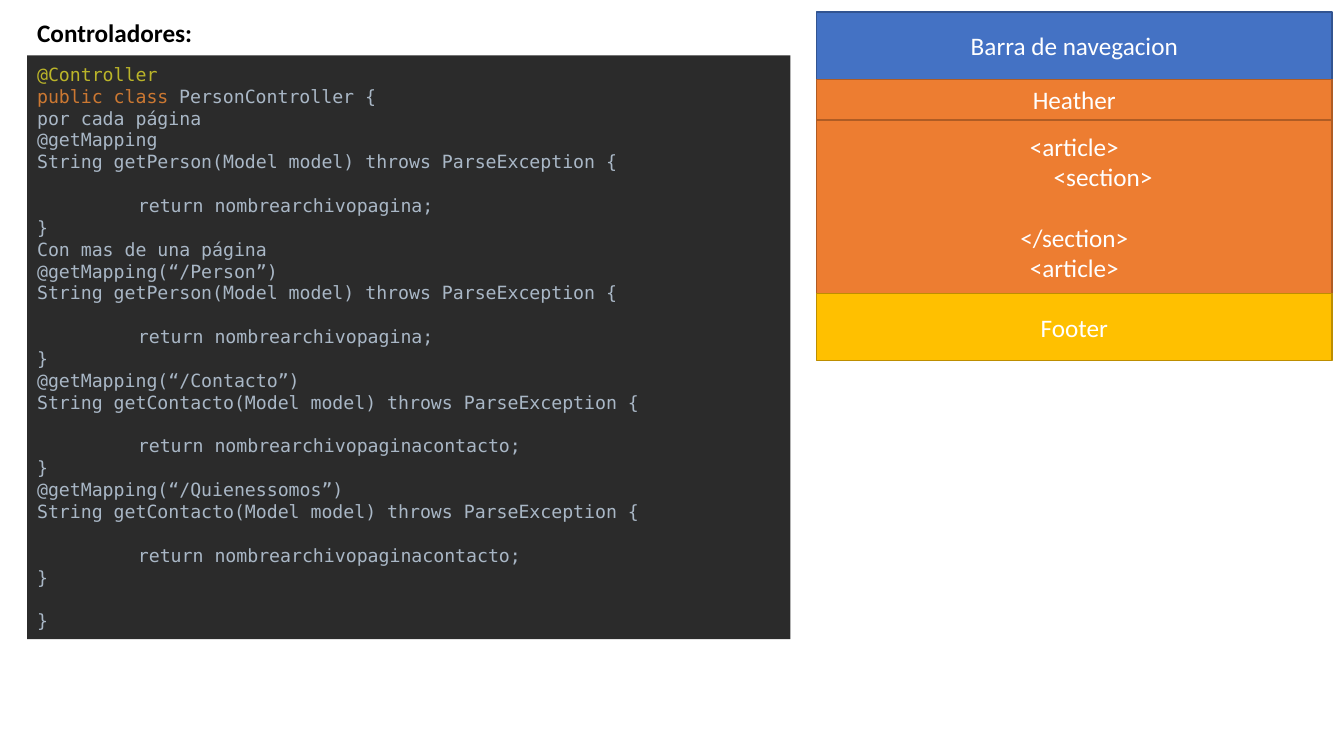
from pptx import Presentation
from pptx.dml.color import RGBColor
from pptx.enum.shapes import MSO_SHAPE
from pptx.enum.text import MSO_ANCHOR, PP_ALIGN
from pptx.util import Pt

PX = 9144  # 100 px to the inch
CODE_FONT = "DejaVu Sans Mono"
CODE_GREY = "A9B7C6"


def rgb(value):
    return RGBColor.from_string(value)


def add_run(p, text, color, size=18, font="Calibri", bold=False):
    r = p.add_run()
    r.text = text
    r.font.color.rgb = rgb(color)
    for name, value in {"size": Pt(size), "name": font, "bold": bold}.items():
        setattr(r.font, name, value)


prs = Presentation()
prs.slide_width, prs.slide_height = 1333 * PX, 750 * PX
s = prs.slides.add_slide(prs.slide_layouts[6])

# Title
tf = s.shapes.add_textbox(27 * PX, 12 * PX, 175 * PX, 40 * PX).text_frame
tf.word_wrap = False
add_run(tf.paragraphs[0], "Controladores:", "000000", bold=True)

# Page layout: height, fill, line, and (text, indent, space before) per paragraph
bands = [
    (67, "4472C4", "325491", [("Barra de navegacion", 0, 0)]),
    (40, "ED7D31", "AF5C24", [("Heather", 0, 0)]),
    (172, "ED7D31", "AF5C24", [("<article>", 0, 0), ("<section>", 57, 0),
                               ("</section>", 0, 22), ("<article>", 0, 0)]),
    (67, "FFC000", "BD8E00", [("Footer", 0, 0)]),
]
top = 12
for height, fill, line, lines in bands:
    sp = s.shapes.add_shape(MSO_SHAPE.RECTANGLE, 810 * PX, top * PX, 511 * PX, height * PX)
    sp.shadow.inherit = False
    sp.fill.solid()
    sp.fill.fore_color.rgb = rgb(fill)
    sp.line.color.rgb = rgb(line)
    sp.line.width = Pt(1)
    tf = sp.text_frame
    tf.vertical_anchor = MSO_ANCHOR.MIDDLE
    for i, (text, indent, before) in enumerate(lines):
        p = tf.add_paragraph() if i else tf.paragraphs[0]
        p.alignment = PP_ALIGN.CENTER
        p.space_before = Pt(before)
        if indent:
            p._p.get_or_add_pPr().set("marL", str(indent * PX))
        add_run(p, text, "FFFFFF")
    top += height

# Controller code
sp = s.shapes.add_shape(MSO_SHAPE.RECTANGLE, 27 * PX, 55 * PX, 757 * PX, 579 * PX)
sp.shadow.inherit = False
sp.fill.solid()
sp.fill.fore_color.rgb = rgb("2B2B2B")
sp.line.fill.background()
tf = sp.text_frame
tf.word_wrap = True
tf.vertical_anchor = MSO_ANCHOR.MIDDLE

code = [
    [("@Controller", "BBB529")],
    [("public class ", "CC7832"), ("PersonController {", CODE_GREY)],
    [("por cada página", CODE_GREY)],
]
methods = [
    ("@getMapping", "getPerson", "nombrearchivopagina"),
    ("@getMapping(“/Person”)", "getPerson", "nombrearchivopagina"),
    ("@getMapping(“/Contacto”)", "getContacto", "nombrearchivopaginacontacto"),
    ("@getMapping(“/Quienessomos”)", "getContacto", "nombrearchivopaginacontacto"),
]
for i, (mapping, method, page) in enumerate(methods):
    if i == 1:
        code.append([("Con mas de una página", CODE_GREY)])
    signature = f"String {method}(Model model) throws ParseException {{"
    for text in (mapping, signature, f"return {page};", "}"):
        code.append([(text, CODE_GREY)])
code.append([("}", CODE_GREY)])

for i, runs in enumerate(code):
    p = tf.add_paragraph() if i else tf.paragraphs[0]
    p.alignment = PP_ALIGN.LEFT
    is_return = runs[0][0].startswith("return")
    if is_return:
        p._p.get_or_add_pPr().set("marL", str(100 * PX))
    if is_return or i == len(code) - 1:
        p.space_before = Pt(15.6)
    for text, color in runs:
        add_run(p, text, color, 13, CODE_FONT)

prs.save("out.pptx")
